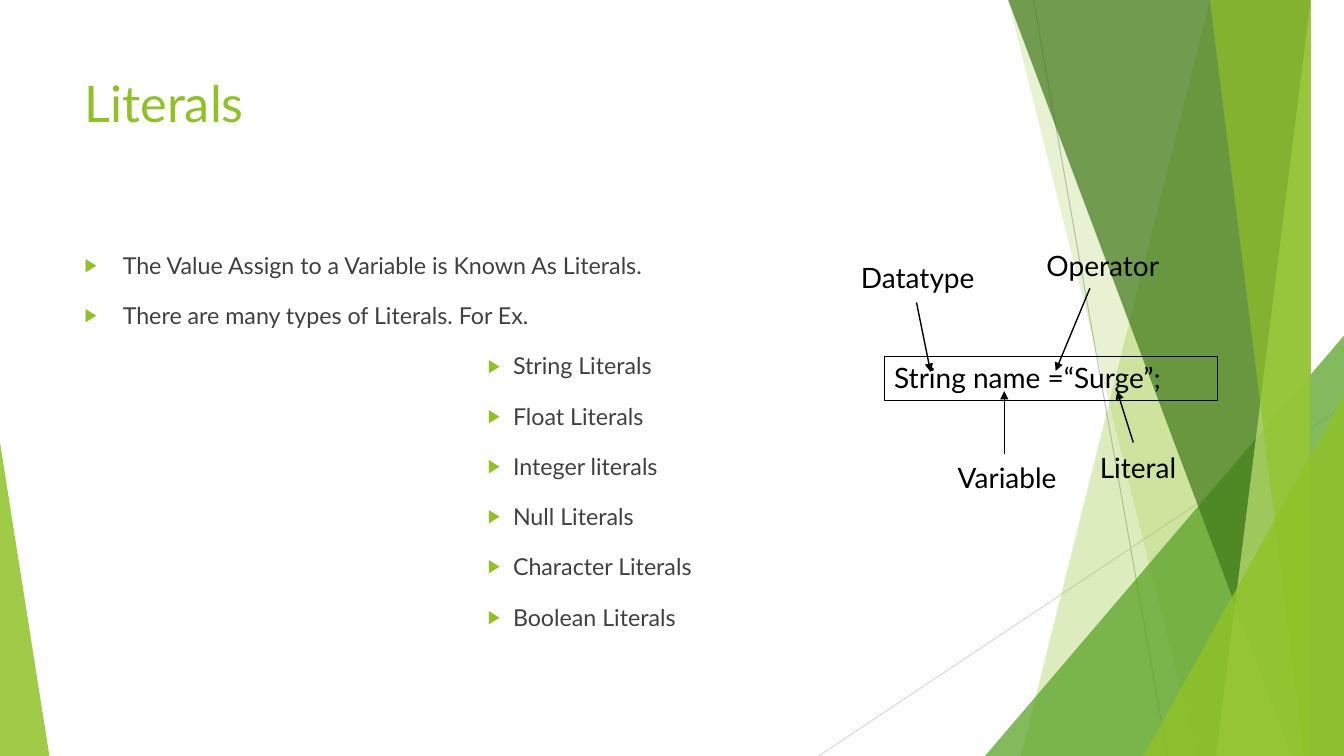
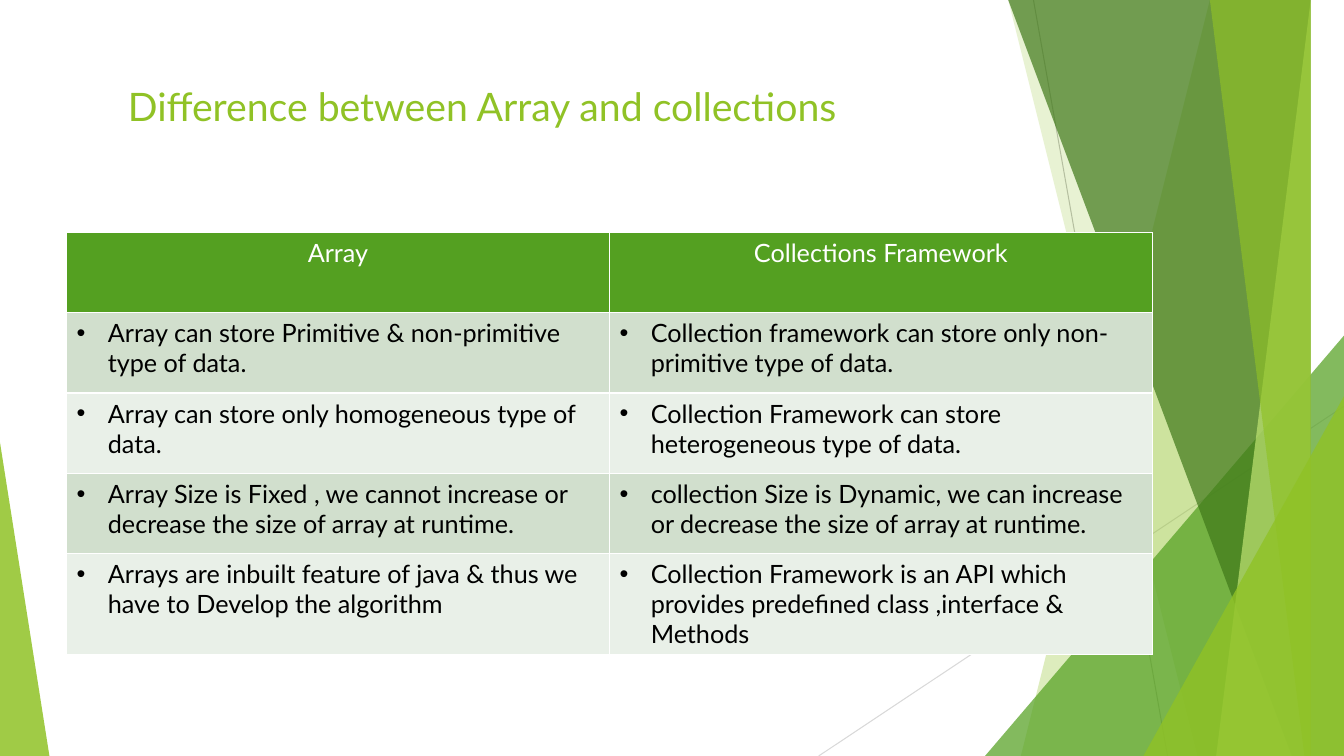
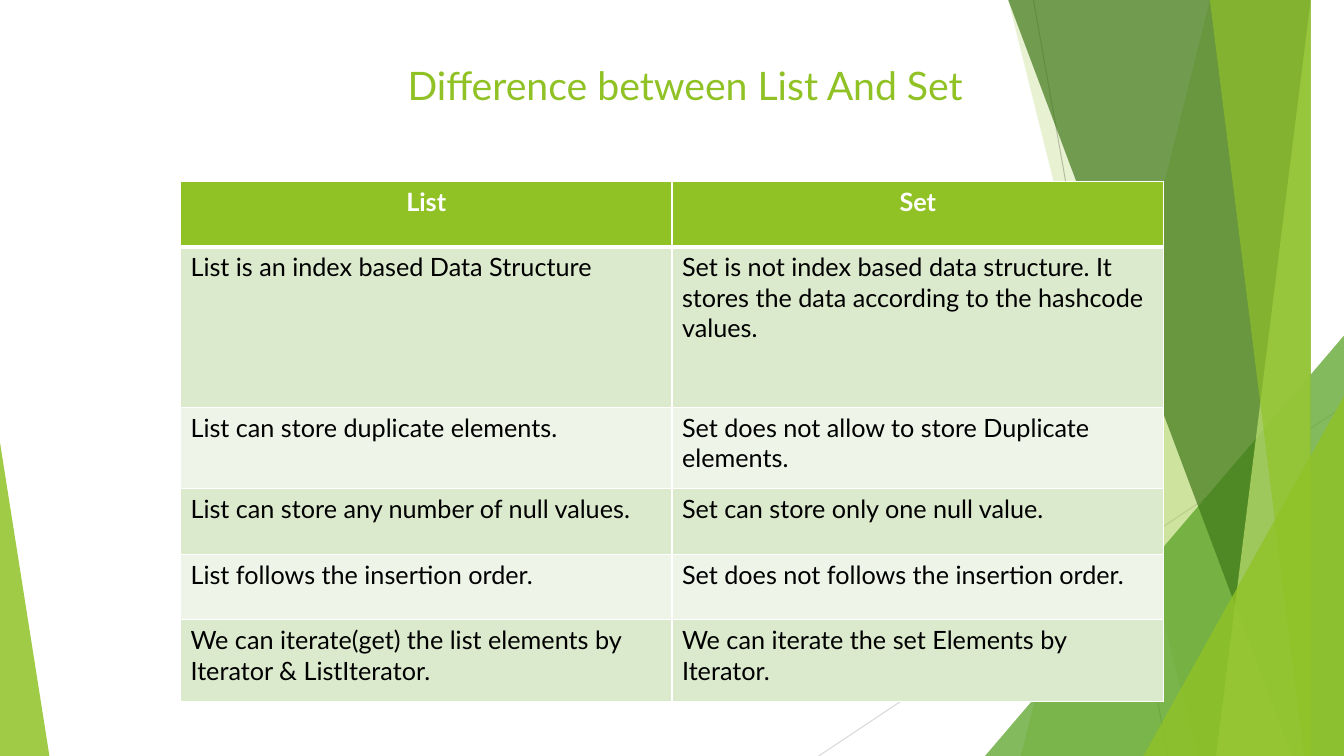
from lxml import etree
from pptx import Presentation
from pptx import util as u
from pptx.dml.color import RGBColor
from pptx.enum import shapes, text
from pptx.oxml import ns

LIME = RGBColor(0x90, 0xC2, 0x26)
LEAF = RGBColor(0x54, 0xA0, 0x21)
MOSS = RGBColor(0x3F, 0x78, 0x19)
PALE = RGBColor(0xC0, 0xE4, 0x74)
SLATE = RGBColor(0x40, 0x40, 0x40)
SILVER = RGBColor(0xBF, 0xBF, 0xBF)
MIST = RGBColor(0xD9, 0xD9, 0xD9)
BLACK = RGBColor(0, 0, 0)
WHITE = RGBColor(0xFF, 0xFF, 0xFF)
SAGE = (RGBColor(0xD1, 0xDF, 0xCD), RGBColor(0xE9, 0xF0, 0xE8))
MINT = (RGBColor(0xDB, 0xE9, 0xCD), RGBColor(0xEE, 0xF4, 0xE8))

FONT = "Lato"
WIDE, HIGH = 13.33, 7.5
LEFT, MID = text.PP_ALIGN.LEFT, text.PP_ALIGN.CENTER

# Slanted panels: top x, bottom x, colour, opacity
BACK = [(12.28, 10.04, LIME, 30), (10.5, 11.83, LIME, 20)]
FRONT = [(10.21, 12.91, MOSS, 70), (13.03, 11.92, PALE, 70),
         (11.96, 13.18, LIME, 65)]
# Corner triangles: box, apex, colour, opacity
RISE = ((9.77, 3.33, 3.56, 4.17), 1, LEAF, 72)
EDGES = [((11.34, 3.93, 1.99, 3.57), 1, LIME, 80),
         ((0, 4.39, 0.49, 3.11), 0, LIME, 85)]


def put(obj, vals):
    for key, val in vals.items():
        setattr(obj, key, val)


def inch(box):
    return [u.Inches(n) for n in box]


def sub(node, tag, **vals):
    return etree.SubElement(node, ns.qn(tag), vals)


def write(par, words, size, color, bold=False, align=LEFT):
    par.alignment = align
    run = par.add_run()
    run.text = words
    put(run.font, {"name": FONT, "size": u.Pt(size), "bold": bold})
    run.font.color.rgb = color


def bullet(par, mark, left, hang, color=None, scale=None):
    pr = par._p.get_or_add_pPr()
    pr.set("marL", str(u.Inches(left)))
    pr.set("indent", str(-u.Inches(hang)))
    if color is not None:
        sub(sub(pr, "a:buClr"), "a:srgbClr", val=str(color))
    if scale:
        sub(pr, "a:buSzPct", val=str(scale * 1000))
    sub(pr, "a:buFont", typeface="Arial")
    sub(pr, "a:buChar", char=mark)


def line(slide, start, end, color, width, arrow=False):
    link = slide.shapes.add_connector(
        shapes.MSO_CONNECTOR.STRAIGHT, *inch(start + end))
    link.line.color.rgb = color
    link.line.width = u.Pt(width)
    if arrow:
        sub(link.line._get_or_add_ln(), "a:tailEnd", type="triangle")
    sub(link._element.spPr, "a:effectLst")


def tint(shape, color, alpha):
    shape.shadow.inherit = False
    shape.line.fill.background()
    shape.fill.solid()
    shape.fill.fore_color.rgb = color
    node = shape._element.spPr.find(".//" + ns.qn("a:srgbClr"))
    sub(node, "a:alpha", val=str(alpha * 1000))


def panel(slide, top, base, color, alpha):
    form = slide.shapes.build_freeform(top, 0, scale=u.Inches(1))
    form.add_line_segments([(WIDE, 0), (WIDE, HIGH), (base, HIGH)])
    tint(form.convert_to_shape(), color, alpha)


def wedge(slide, box, apex, color, alpha):
    shape = slide.shapes.add_shape(
        shapes.MSO_SHAPE.ISOSCELES_TRIANGLE, *inch(box))
    shape.adjustments[0] = apex
    tint(shape, color, alpha)


def decor(slide):
    line(slide, (10.25, 0), (11.58, HIGH), SILVER, 0.75)
    line(slide, (WIDE, 4.03), (8.12, HIGH), MIST, 0.75)
    for item in BACK:
        panel(slide, *item)
    wedge(slide, *RISE)
    for item in FRONT:
        panel(slide, *item)
    for item in EDGES:
        wedge(slide, *item)


def frame(slide, box):
    area = slide.shapes.add_textbox(*inch(box)).text_frame
    area.word_wrap = True
    return area


def page(deck, title, box, size, align=LEFT):
    slide = deck.slides.add_slide(deck.slide_layouts[6])
    decor(slide)
    write(frame(slide, box).paragraphs[0], title, size, LIME, align=align)
    return slide


def points(slide, box, items):
    area = frame(slide, box)
    for i, (words, deep) in enumerate(items):
        par = area.add_paragraph() if i else area.paragraphs[0]
        put(par, {"line_spacing": 1.3, "level": 8 if deep else 0,
                  "space_before": u.Pt(10 if i else 0)})
        left, hang = (4.25, 0.25) if deep else (0.38, 0.38)
        bullet(par, "▶", left, hang, LIME, 80)
        write(par, words, 16.6, SLATE)


def syntax(slide, x, y):
    """Statement box with an arrow from each label to its part."""
    code = slide.shapes.add_shape(
        shapes.MSO_SHAPE.RECTANGLE, *inch((x, y, 3.3, 0.44)))
    code.shadow.inherit = False
    code.fill.background()
    code.line.color.rgb = BLACK
    code.line.width = u.Pt(0.25)
    put(code.text_frame, {"word_wrap": True,
                          "vertical_anchor": text.MSO_ANCHOR.TOP})
    write(code.text_frame.paragraphs[0], "String name =“Surge”;", 20, BLACK)
    # Label, its corner, arrow start and end, from the corner of the box
    parts = [
        ("Variable", (0.63, 0.99), (1.19, 0.97), (1.19, 0.35)),
        ("Datatype", (-0.33, -0.99), (0.32, -0.53), (0.46, 0.16)),
        ("Operator", (1.51, -1.11), (2.04, -0.67), (1.7, 0.15)),
        ("Literal", (2.04, 0.89), (2.47, 0.86), (2.31, 0.35)),
    ]
    for label, *spots in parts:
        spot, start, end = [(x + a, y + b) for a, b in spots]
        line(slide, start, end, BLACK, 1, arrow=True)
        write(frame(slide, spot + (1.59, 0.44)).paragraphs[0],
              label, 20, BLACK)


def border(cell, top, base):
    pr = cell._tc.get_or_add_tcPr()
    for side, width in zip("LRTB", (1, 1, top, base)):
        edge = sub(pr, "a:ln" + side, w=str(u.Pt(width)))
        sub(sub(edge, "a:solidFill"), "a:srgbClr", val=str(WHITE))


def grid(slide, box, highs, rows, head, bands, rule=1, bold=False, mark=None):
    table = slide.shapes.add_table(len(rows), 2, *inch(box)).table
    for col in table.columns:
        col.width = u.Inches(box[2] / 2)
    for r, (high, row) in enumerate(zip(highs, rows)):
        table.rows[r].height = u.Inches(high)
        for c, words in enumerate(row):
            cell = table.cell(r, c)
            border(cell, rule if r == 1 else 1, rule if r == 0 else 1)
            cell.fill.solid()
            cell.fill.fore_color.rgb = bands[(r - 1) % 2] if r else head
            par = cell.text_frame.paragraphs[0]
            if r and mark:
                bullet(par, mark, 0.31, 0.31)
            if r:
                write(par, words, 18, BLACK)
            else:
                write(par, words, 18, WHITE, bold, MID)


KINDS = ["String Literals", "Float Literals", "Integer literals",
         "Null Literals", "Character Literals", "Boolean Literals"]
ARRAY = [
    ("Array", "Collections Framework"),
    ("Array can store Primitive & non-primitive type of data.",
     "Collection framework can store only non-primitive type of data."),
    ("Array can store only homogeneous type of data.",
     "Collection Framework can store heterogeneous type of data."),
    ("Array Size is Fixed , we cannot increase or decrease the size of "
     "array at runtime.",
     "collection Size is Dynamic, we can increase or decrease the size of "
     "array at runtime."),
    ("Arrays are inbuilt feature of java & thus we have to Develop the "
     "algorithm",
     "Collection Framework is an API which provides predefined class "
     ",interface & Methods"),
]
SETS = [
    ("List", "Set"),
    ("List is an index based Data Structure",
     "Set is not index based data structure. It stores the data according "
     "to the hashcode values."),
    ("List can store duplicate elements.",
     "Set does not allow to store Duplicate elements."),
    ("List can store any number of null values.",
     "Set can store only one null value."),
    ("List follows the insertion order.",
     "Set does not follows the insertion order."),
    ("We can iterate(get) the list elements by Iterator & ListIterator.",
     "We can iterate the set Elements by Iterator."),
]


def main():
    deck = Presentation()
    put(deck, {"slide_width": u.Inches(WIDE), "slide_height": u.Inches(HIGH)})

    # Literals
    slide = page(deck, "Literals", (0.74, 0.67, 9.4, 1.44), 36)
    lead = ["The Value Assign to a Variable is Known As Literals.",
            "There are many types of Literals. For Ex."]
    points(slide, (0.74, 2.36, 9.4, 4.24),
           [(t, False) for t in lead] + [(t, True) for t in KINDS])
    syntax(slide, 8.77, 3.53)

    # Array and collections
    slide = page(deck, "Difference between Array and collections",
                 (1.17, 0.77, 9.75, 1.4), 28)
    grid(slide, (0.66, 2.31, 10.77, 4.2), (0.79, 0.8, 0.8, 0.79, 0.79),
         ARRAY, LEAF, SAGE, mark="•")

    # List and set
    slide = page(deck, "Difference between List And Set",
                 (1.92, 0.56, 9.75, 1.4), 28, MID)
    grid(slide, (1.79, 1.8, 9.75, 5.14), (0.65, 1.59, 0.81, 0.65, 0.65, 0.81),
         SETS, LIME, MINT, rule=3, bold=True)

    deck.save("out.pptx")


if __name__ == "__main__":
    main()
